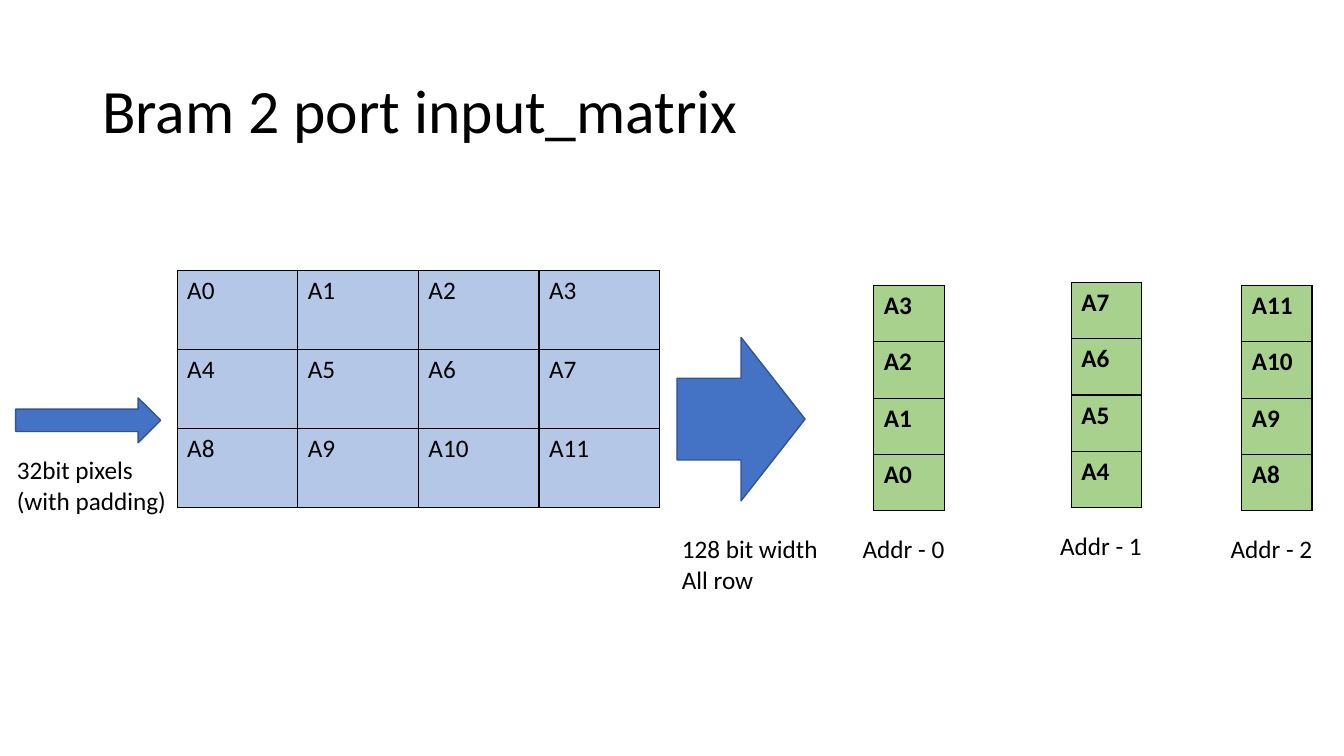
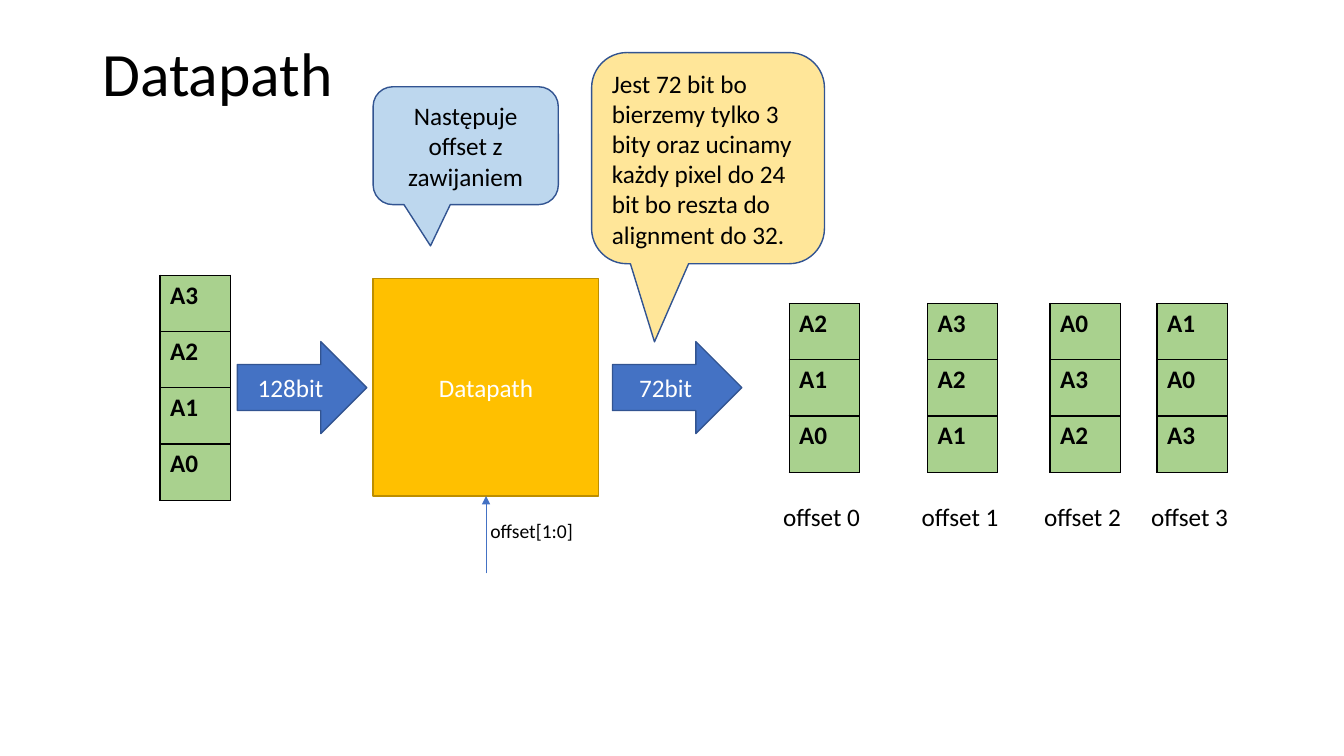
import pptx
import pptx.util
import pptx.dml.color
import pptx.enum.shapes
import pptx.enum.text
import pptx.oxml
import pptx.oxml.ns

Pt = pptx.util.Pt
rgb = pptx.dml.color.RGBColor.from_string
qn = pptx.oxml.ns.qn
SHAPES = pptx.enum.shapes.MSO_SHAPE
ALIGN = pptx.enum.text.PP_ALIGN
ANCHOR = pptx.enum.text.MSO_ANCHOR

FONT = "Calibri"
BLACK, WHITE = "000000", "FFFFFF"
BLUE, BLUE_LINE, PALE_BLUE = "4472C4", "325491", "B4C7E7"
GREEN, GOLD, GOLD_LINE = "A9D18E", "FFC000", "BD8E00"
CALLOUT_BLUE, CALLOUT_YELLOW = "BDD7EE", "FFE699"
NAMESPACE = 'xmlns:a="http://schemas.openxmlformats.org/drawingml/2006/main"'


def add_box(slide, box, text="", kind=None, fill=None, line=BLUE_LINE, size=18,
            color=BLACK, align=ALIGN.LEFT, anchor=ANCHOR.TOP, spacing=None):
    """Add a text box, or a filled preset shape when a kind is given."""
    position = [Pt(length) for length in box]
    if kind is None:
        shape = slide.shapes.add_textbox(*position)
    else:
        shape = slide.shapes.add_shape(kind, *position)
        shape.shadow.inherit = False
        shape.fill.solid()
        shape.fill.fore_color.rgb = rgb(fill)
        shape.line.color.rgb = rgb(line)
        shape.line.width = Pt(1)
    frame = shape.text_frame
    frame.word_wrap = True
    frame.vertical_anchor = anchor
    frame.text = text
    for paragraph in frame.paragraphs:
        paragraph.alignment = align
        paragraph.line_spacing = spacing
        for run in paragraph.runs:
            run.font.name = FONT
            run.font.size = Pt(size)
            run.font.color.rgb = rgb(color)
    return shape


def add_matrix(slide, left, top, rows, column_width=50.2, row_height=40.2,
               fill=GREEN, bold=True):
    """Add a bordered table of equal cells."""
    row_count, column_count = len(rows), len(rows[0])
    table = slide.shapes.add_table(
        row_count, column_count, Pt(left), Pt(top),
        Pt(column_width * column_count), Pt(row_height * row_count)).table
    table.first_row = table.horz_banding = False
    for column in table.columns:
        column.width = Pt(column_width)
    for row, values in zip(table.rows, rows):
        row.height = Pt(row_height)
        for cell, value in zip(row.cells, values):
            cell.text = value
            font = cell.text_frame.paragraphs[0].runs[0].font
            font.name, font.size, font.bold = FONT, Pt(18), bold
            font.color.rgb = rgb(BLACK)
            properties = cell._tc.get_or_add_tcPr()
            for side in ("lnL", "lnR", "lnT", "lnB"):
                properties.append(pptx.oxml.parse_xml(
                    f'<a:{side} {NAMESPACE} w="{Pt(1)}"><a:solidFill>'
                    f'<a:srgbClr val="{BLACK}"/></a:solidFill></a:{side}>'))
            cell.fill.solid()
            cell.fill.fore_color.rgb = rgb(fill)


presentation = pptx.Presentation()
presentation.slide_width = Pt(960)
presentation.slide_height = Pt(540)

# Slides with their titles
slides = []
for title, title_height in (("Bram 2 port input_matrix", 104.4), ("Datapath", 52)):
    slide = presentation.slides.add_slide(presentation.slide_layouts[6])
    add_box(slide, (66, 28.8, 828, title_height), title, size=44,
            anchor=ANCHOR.MIDDLE, spacing=0.9)
    slides.append(slide)
memory_slide, datapath_slide = slides

# Memory: input matrix
pixels = [[f"A{4 * row + column}" for column in range(4)] for row in range(3)]
add_matrix(memory_slide, 126.5, 193.2, pixels, 86.2, 56.4, PALE_BLUE, False)

# Memory: arrows and their captions
for box in ((11.2, 284.2, 103.5, 32), (483.6, 241, 91.5, 116.8)):
    add_box(memory_slide, box, kind=SHAPES.RIGHT_ARROW, fill=BLUE)
add_box(memory_slide, (5, 321.3, 122.4, 51), "32bit pixels\n(with padding)")
add_box(memory_slide, (480, 377.6, 111.6, 51), "128 bit width\nAll row")

# Memory: one word per address, highest pixel on top
for address, (left, top) in enumerate(((624.2, 204), (765.2, 201.8), (887, 204))):
    word = [[pixel] for pixel in reversed(pixels[address])]
    add_matrix(memory_slide, left, top, word)
    add_box(memory_slide, (left - 15.1, top + 173.5, 99.4, 29), f"Addr - {address}")

# Datapath: input word, block and bus arrows
add_matrix(datapath_slide, 114.3, 196.5, [["A3"], ["A2"], ["A1"], ["A0"]])
centred = {"align": ALIGN.CENTER, "anchor": ANCHOR.MIDDLE}
for left, text in ((169.6, "128bit"), (437.5, "72bit")):
    add_box(datapath_slide, (left, 244, 92.4, 65.7), text, SHAPES.RIGHT_ARROW,
            BLUE, color=WHITE, **centred)
add_box(datapath_slide, (266.5, 199.1, 161.2, 155.2), "Datapath", SHAPES.RECTANGLE,
        GOLD, GOLD_LINE, color=WHITE, **centred)

# Datapath: offset input
connector = datapath_slide.shapes.add_connector(
    pptx.enum.shapes.MSO_CONNECTOR.STRAIGHT, Pt(347.2), Pt(409.5), Pt(347.2), Pt(354.3))
connector.line.color.rgb = rgb(BLUE)
connector.line.width = Pt(0.5)
connector_properties = connector._element.spPr
connector_properties.find(qn("a:ln")).append(
    pptx.oxml.parse_xml(f'<a:tailEnd {NAMESPACE} type="triangle"/>'))
connector_properties.append(pptx.oxml.parse_xml(f"<a:effectLst {NAMESPACE}/>"))
add_box(datapath_slide, (343.2, 367.2, 79.2, 24.3), "offset[1:0]", size=14)

# Datapath: output for each offset, wrapping around the four pixels
for offset, left in enumerate((563.7, 662.6, 750, 826.5)):
    window = [[f"A{(offset + step) % 4}"] for step in (2, 1, 0)]
    add_matrix(datapath_slide, left, 216.7, window)
    add_box(datapath_slide, (left - 11.3, 354.4, 83.5, 29), f"offset {offset}")

# Datapath: callouts
yellow_callout = add_box(
    datapath_slide, (422.6, 37.6, 166.3, 150.8),
    "Jest 72 bit bo bierzemy tylko 3 bity oraz ucinamy każdy pixel do 24 bit "
    "bo reszta do alignment do 32.",
    SHAPES.ROUNDED_RECTANGULAR_CALLOUT, CALLOUT_YELLOW)
blue_callout = add_box(
    datapath_slide, (266.5, 62, 132.3, 84.2), "Następuje offset z zawijaniem",
    SHAPES.ROUNDED_RECTANGULAR_CALLOUT, CALLOUT_BLUE, **centred)
for callout, tip in ((yellow_callout, (-0.23, 0.87)), (blue_callout, (-0.19, 0.85))):
    callout.adjustments[0], callout.adjustments[1] = tip

presentation.save("out.pptx")
